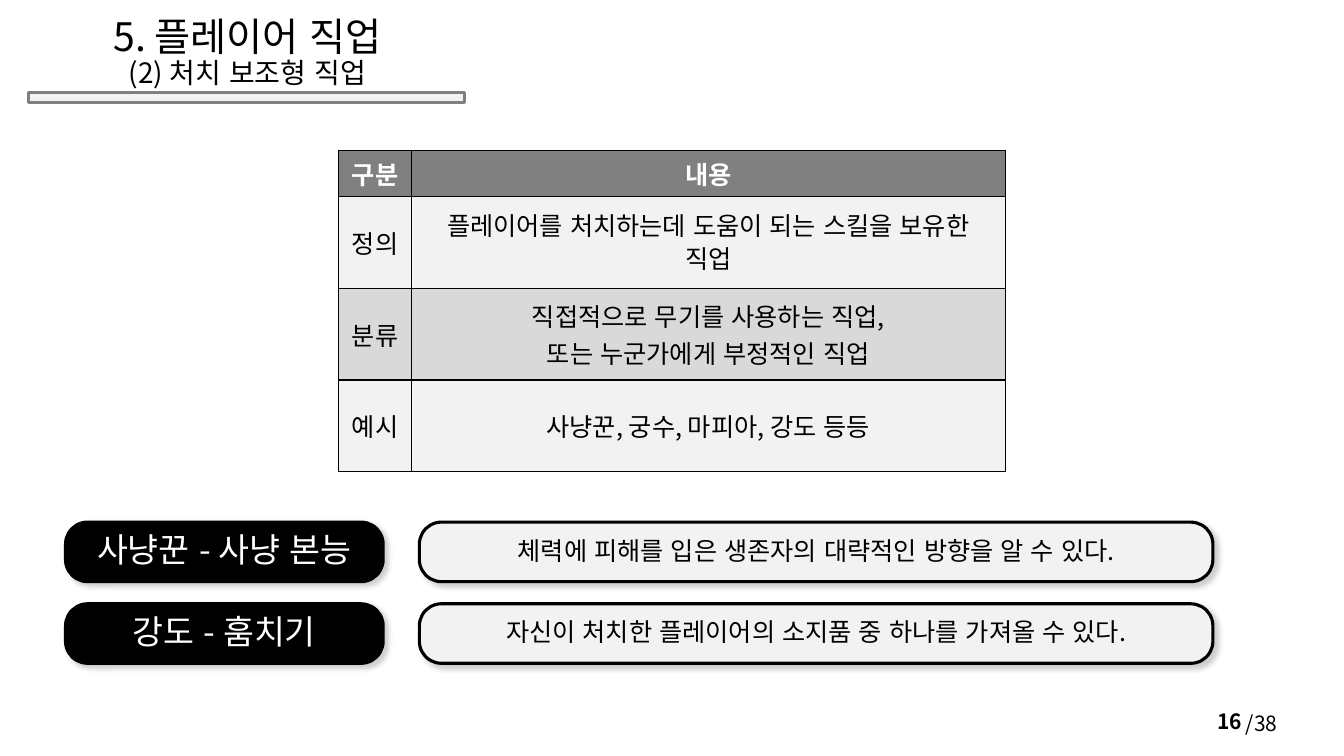
from dataclasses import dataclass

from pptx import Presentation
from pptx import util as u
from pptx.dml.color import RGBColor
from pptx.enum import lang, shapes, text
from pptx.oxml import parse_xml
from pptx.oxml.ns import nsdecls, qn

PX = 9144
FONT = "Noto Sans CJK KR"
COLORS = {
    "black": "000000",
    "white": "FFFFFF",
    "pale": "F2F2F2",
    "light": "D9D9D9",
    "gray": "808080",
}
CENTER = text.PP_ALIGN.CENTER
MIDDLE = text.MSO_ANCHOR.MIDDLE


@dataclass(frozen=True)
class Row:
    label: str
    lines: tuple[str, ...]
    fill: str
    height: int
    color: str = "black"
    bold: bool = False
    spacing: float = 1.0


@dataclass(frozen=True)
class Skill:
    name: str
    effect: str


ROWS = (
    Row("구분", ("내용",), "gray", 46, "white", True),
    Row("정의", ("플레이어를 처치하는데 도움이 되는 스킬을 보유한 직업",), "pale", 91, spacing=0.9),
    Row("분류", ("직접적으로 무기를 사용하는 직업,", "또는 누군가에게 부정적인 직업"), "light", 91),
    Row("예시", ("사냥꾼, 궁수, 마피아, 강도 등등",), "pale", 91),
)
SKILLS = (
    Skill("사냥꾼 - 사냥 본능", "체력에 피해를 입은 생존자의 대략적인 방향을 알 수 있다."),
    Skill("강도 - 훔치기", "자신이 처치한 플레이어의 소지품 중 하나를 가져올 수 있다."),
)


def px(*lengths: int) -> list[u.Emu]:
    return [u.Emu(length * PX) for length in lengths]


def rgb(name: str) -> RGBColor:
    return RGBColor.from_string(COLORS[name])


def add_span(para, words: str, *, size: int, color: str = "black", bold: bool = False) -> None:
    span = para.add_run()
    span.text = words
    font = span.font
    font.size, font.bold, font.name = u.Pt(size), bold, FONT
    font.color.rgb = rgb(color)
    font.language_id = lang.MSO_LANGUAGE_ID.KOREAN
    east_asian = parse_xml(f'<a:ea {nsdecls("a")} typeface="{FONT}"/>')
    font._element.find(qn("a:latin")).addnext(east_asian)


def write(frame, *lines: str, align=CENTER, spacing: float = 1.0, **style) -> None:
    for index, line in enumerate(lines):
        para = frame.add_paragraph() if index else frame.paragraphs[0]
        para.alignment, para.line_spacing = align, spacing
        add_span(para, line, **style)


def add_text_box(page, *place: int, anchor=MIDDLE):
    frame = page.shapes.add_textbox(*px(*place)).text_frame
    frame.word_wrap, frame.vertical_anchor = True, anchor
    return frame


def add_block(page, kind, *place: int, fill: str, line: str):
    block = page.shapes.add_shape(kind, *px(*place))
    block.shadow.inherit = False
    block.fill.solid()
    block.fill.fore_color.rgb = rgb(fill)
    block.line.color.rgb = rgb(line)
    block.line.width = u.Pt(2.25)
    return block


def add_pill(page, words: str, *place: int, fill: str, color: str, size: int) -> None:
    pill = add_block(page, shapes.MSO_SHAPE.ROUNDED_RECTANGLE, *place, fill=fill, line="black")
    pill.adjustments[0] = 0.37
    effects = pill._element.spPr.find(qn("a:effectLst"))
    effects.append(parse_xml(
        f'<a:outerShdw {nsdecls("a")} blurRad="{u.Pt(4)}" dist="{u.Pt(3)}" dir="2700000" '
        f'algn="tl" rotWithShape="0"><a:srgbClr val="{COLORS["black"]}">'
        '<a:alpha val="20000"/></a:srgbClr></a:outerShdw>'))
    pill.text_frame.word_wrap = True
    pill.text_frame.vertical_anchor = MIDDLE
    write(pill.text_frame, words, spacing=0.9, size=size, color=color)


def set_borders(cell) -> None:
    properties = cell._tc.get_or_add_tcPr()
    for index, side in enumerate(("lnL", "lnR", "lnT", "lnB")):
        properties.insert(index, parse_xml(
            f'<a:{side} {nsdecls("a")} w="{u.Pt(1)}"><a:solidFill>'
            f'<a:srgbClr val="{COLORS["black"]}"/></a:solidFill></a:{side}>'))


def add_job_table(page) -> None:
    widths = (72, 589)
    height = sum(row.height for row in ROWS)
    table = page.shapes.add_table(
        len(ROWS), len(widths), *px(336, 149, sum(widths), height)).table
    table.horz_banding = False
    for column, width in zip(table.columns, px(*widths)):
        column.width = width
    for row, line in zip(ROWS, table.rows):
        line.height = px(row.height)[0]
        contents = (((row.label,), 1.0), (row.lines, row.spacing))
        for cell, (lines, spacing) in zip(line.cells, contents):
            cell.fill.solid()
            cell.fill.fore_color.rgb = rgb(row.fill)
            cell.vertical_anchor = MIDDLE
            set_borders(cell)
            write(cell.text_frame, *lines, spacing=spacing,
                  size=18, color=row.color, bold=row.bold)


def add_title(page) -> None:
    add_block(page, shapes.MSO_SHAPE.RECTANGLE, 28, 92, 433, 10, fill="pale", line="gray")
    frame = add_text_box(page, 38, 29, 415, 65, anchor=text.MSO_ANCHOR.BOTTOM)
    write(frame, "5. 플레이어 직업", spacing=0.9, size=28)
    para = frame.paragraphs[0]
    para.add_line_break()
    add_span(para, "(2) 처치 보조형 직업", size=20)


def add_page_number(page) -> None:
    total = add_text_box(page, 1226, 700, 74, 35, anchor=text.MSO_ANCHOR.TOP)
    write(total, "/38", align=text.PP_ALIGN.LEFT, size=15)
    current = add_text_box(page, 942, 695, 300, 40)
    write(current, "16", align=text.PP_ALIGN.RIGHT, size=15, bold=True)


def main() -> None:
    deck = Presentation()
    deck.slide_width, deck.slide_height = px(1333, 750)
    page = deck.slides.add_slide(deck.slide_layouts[6])
    add_title(page)
    add_page_number(page)
    add_job_table(page)
    for index, skill in enumerate(SKILLS):
        top = 518 + index * 81
        add_pill(page, skill.name, 65, top, 315, 59, fill="black", color="white", size=24)
        add_pill(page, skill.effect, 416, top, 787, 59, fill="pale", color="black", size=18)
    deck.save("out.pptx")


if __name__ == "__main__":
    main()
